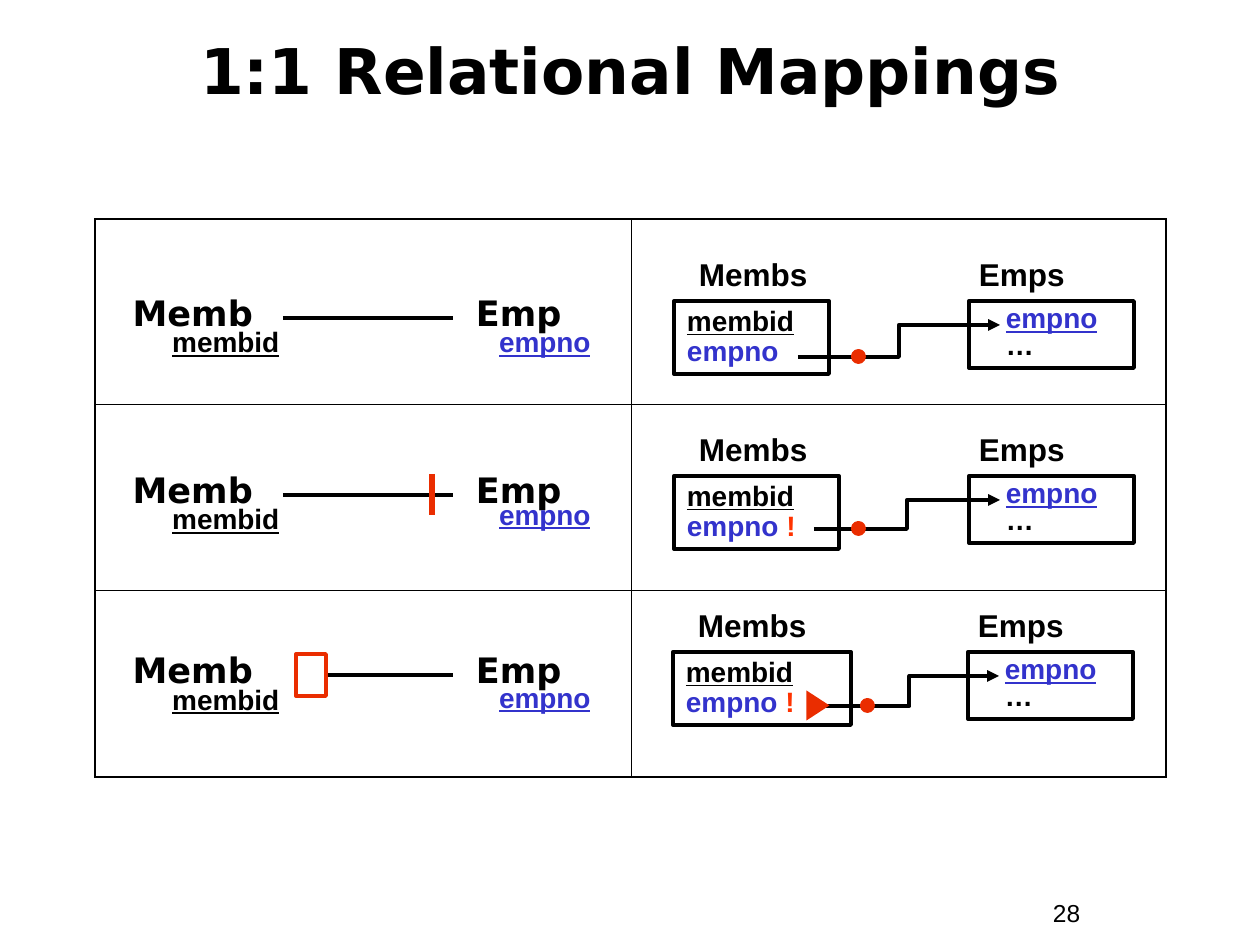
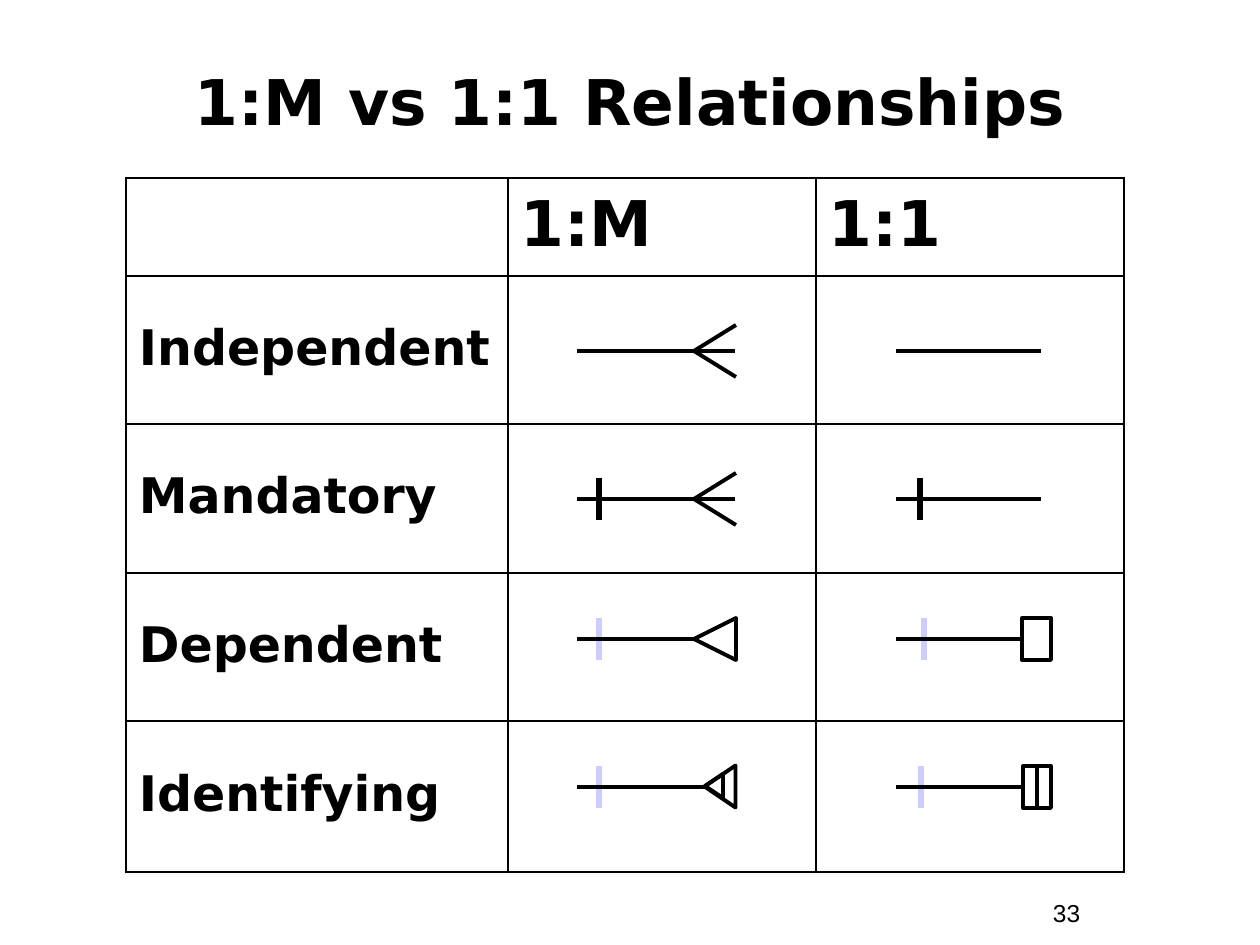
from dataclasses import dataclass

from lxml.etree import SubElement
from pptx import Presentation
from pptx.dml.color import RGBColor
from pptx.enum.shapes import MSO_CONNECTOR, MSO_SHAPE
from pptx.enum.text import MSO_ANCHOR, PP_ALIGN
from pptx.oxml.ns import qn
from pptx.util import Pt

PX = 7257


@dataclass(frozen=True)
class Theme:
    black: RGBColor = RGBColor(0x00, 0x00, 0x00)
    red: RGBColor = RGBColor(0xEA, 0x2D, 0x00)
    alert: RGBColor = RGBColor(0xFF, 0x33, 0x00)
    blue: RGBColor = RGBColor(0x33, 0x33, 0xCC)
    pale: RGBColor = RGBColor(0xCC, 0xCC, 0xFF)
    heading_font: str = "DejaVu Sans"
    body_font: str = "Arial"
    title: int = 36
    row_label: int = 28
    entity: int = 20
    relation: int = 18
    attribute: int = 16
    page: int = 14
    stroke: float = 2.25
    tick: float = 3
    frame: float = 1.08
    rule: float = 0.45


theme = Theme()


def add_box(slide, box, paragraphs=(), size=theme.attribute, font=theme.body_font, bold=True,
            align=PP_ALIGN.LEFT, anchor=MSO_ANCHOR.TOP, spacing=1.0, left_margin=13,
            kind=None, fill=None, line=None, rotation=0):
    bounds = [value * PX for value in box]
    if kind is None:
        shape = slide.shapes.add_textbox(*bounds)
    else:
        shape = slide.shapes.add_shape(kind, *bounds)
        shape.shadow.inherit = False
        shape.rotation = rotation
        for part, colour in ((shape.fill, fill), (shape.line.fill, line)):
            if colour is None:
                part.background()
            else:
                part.solid()
                part.fore_color.rgb = colour
        if line is not None:
            shape.line.width = Pt(theme.stroke)
    frame = shape.text_frame
    frame.word_wrap = True
    frame.vertical_anchor = anchor
    frame.margin_left = left_margin * PX
    for index, runs in enumerate(paragraphs):
        paragraph = frame.paragraphs[0] if index == 0 else frame.add_paragraph()
        paragraph.alignment = align
        paragraph.line_spacing = spacing
        for text, colour, underline in runs:
            run = paragraph.add_run()
            run.text = text
            run.font.name = font
            run.font.size = Pt(size)
            run.font.bold = bold
            run.font.underline = underline
            run.font.color.rgb = colour


def add_line(slide, start, end, colour=theme.black, width=theme.stroke, arrow=False):
    route = MSO_CONNECTOR.ELBOW if arrow else MSO_CONNECTOR.STRAIGHT
    connector = slide.shapes.add_connector(route, *[value * PX for value in start + end])
    connector.line.color.rgb = colour
    connector.line.width = Pt(width)
    if arrow:
        SubElement(connector.line._get_or_add_ln(), qn("a:tailEnd"), type="triangle")
    SubElement(connector._element.spPr, qn("a:effectLst"))


presentation = Presentation()
presentation.slide_width = 1260 * PX
presentation.slide_height = 945 * PX

pages = [
    ("1:1 Relational Mappings", 11, "28", (95, 219), (536, 535), (185, 186, 187), theme.rule),
    ("1:M vs 1:1 Relationships", 42, "33", (126, 178), (382, 308, 308),
     (98, 148, 149, 148, 151), theme.frame),
]
slides = []
tables = []
for title, title_top, number, corner, columns, rows, inner in pages:
    slide = presentation.slides.add_slide(presentation.slide_layouts[6])
    add_box(slide, (1040, 892, 116, 43), [[(number, theme.black, False)]], theme.page, bold=False)
    add_box(slide, (42, title_top, 1176, 116), [[(title, theme.black, False)]], theme.title,
            theme.heading_font, align=PP_ALIGN.CENTER, anchor=MSO_ANCHOR.MIDDLE)
    table = slide.shapes.add_table(len(rows), len(columns), corner[0] * PX, corner[1] * PX,
                                   sum(columns) * PX, sum(rows) * PX).table
    table.first_row = False
    table.horz_banding = False
    for column, width in zip(table.columns, columns):
        column.width = width * PX
    for row, height in zip(table.rows, rows):
        row.height = height * PX
    for row_index in range(len(rows)):
        for column_index in range(len(columns)):
            cell = table.cell(row_index, column_index)
            outer_edges = {
                "a:lnL": column_index == 0,
                "a:lnR": column_index == len(columns) - 1,
                "a:lnT": row_index == 0,
                "a:lnB": row_index == len(rows) - 1,
            }
            properties = cell._tc.get_or_add_tcPr()
            for edge, is_outer in outer_edges.items():
                border = SubElement(properties, qn(edge), w=str(Pt(theme.frame if is_outer else inner)))
                SubElement(SubElement(border, qn("a:solidFill")), qn("a:srgbClr"), val=str(theme.black))
            cell.fill.background()
    slides.append(slide)
    tables.append(table)

mapping_slide, comparison_slide = slides

required = [("empno ", theme.blue, False), ("!", theme.alert, False)]
optional = [("empno", theme.blue, False)]
mappings = [
    (292, 324, 283, 256, 0, 155, optional, (798, 357), 853),
    (469, 496, 283, 431, 0, 165, required, (814, 529), 853),
    (649, 679, 326, 607, -1, 178, required, (820, 706), 862),
]
for (entity_top, empno_top, line_left, relation_top, shift, membs_width,
     foreign_key, key_point, dot_left) in mappings:
    line_y = entity_top + 26
    add_line(mapping_slide, (line_left, line_y), (453, line_y))
    for name, left, width in (("Memb", 112, 161), ("Emp", 445, 147)):
        add_box(mapping_slide, (left, entity_top, width, 49), [[(name, theme.black, False)]],
                theme.entity, theme.heading_font, align=PP_ALIGN.CENTER, spacing=0.85)
    for name, left, top, colour in (("membid", 152, entity_top + 32, theme.black),
                                    ("empno", 471, empno_top, theme.blue)):
        add_box(mapping_slide, (left, top, 147, 42), [[(name, colour, True)]],
                align=PP_ALIGN.CENTER, spacing=0.85)
    for name, left in (("Membs", 686), ("Emps", 966)):
        add_box(mapping_slide, (left + shift, relation_top, 165, 43), [[(name, theme.black, False)]],
                theme.relation, spacing=0.8)
    add_box(mapping_slide, (674 + shift, relation_top + 45, membs_width, 73),
            [[("membid", theme.black, True)], foreign_key], spacing=0.9,
            kind=MSO_SHAPE.RECTANGLE, line=theme.black)
    add_box(mapping_slide, (969 + shift, relation_top + 45, 165, 67),
            [[("empno", theme.blue, True)], [("…", theme.black, False)]], spacing=0.8,
            left_margin=37, kind=MSO_SHAPE.RECTANGLE, line=theme.black)
    add_line(mapping_slide, key_point, (1000 + shift, relation_top + 69), arrow=True)
    add_box(mapping_slide, (dot_left, key_point[1] - 6, 11, 11), kind=MSO_SHAPE.OVAL,
            fill=theme.red, line=theme.red)

add_line(mapping_slide, (432, 474), (432, 515), theme.red, theme.tick)
add_box(mapping_slide, (296, 654, 30, 42), kind=MSO_SHAPE.RECTANGLE, line=theme.red)
add_box(mapping_slide, (803, 694, 30, 23), kind=MSO_SHAPE.ISOSCELES_TRIANGLE,
        fill=theme.red, rotation=90)

labels = [
    (0, 1, "1:M", theme.title),
    (0, 2, "1:1", theme.title),
    (1, 0, "Independent", theme.row_label),
    (2, 0, "Mandatory", theme.row_label),
    (3, 0, "Dependent", theme.row_label),
    (4, 0, "Identifying", theme.row_label),
]
for row_index, column_index, text, size in labels:
    cell = tables[1].cell(row_index, column_index)
    cell.vertical_anchor = MSO_ANCHOR.MIDDLE
    cell.margin_left = cell.margin_right = 13 * PX
    paragraph = cell.text_frame.paragraphs[0]
    paragraph.line_spacing = 0.9
    run = paragraph.add_run()
    run.text = text
    run.font.name = theme.heading_font
    run.font.size = Pt(size)
    run.font.bold = True
    run.font.color.rgb = theme.black

relationships = [
    (351, 735, 1041, (), theme.black, True),
    (499, 735, 1041, (599, 920), theme.black, True),
    (639, 693, 1020, (599, 924), theme.pale, False),
    (787, 706, 1021, (599, 921), theme.pale, False),
]
for line_y, many_end, one_end, ticks, tick_colour, has_crow_foot in relationships:
    for tick_x in ticks:
        add_line(comparison_slide, (tick_x, line_y - 21), (tick_x, line_y + 21), tick_colour, theme.tick)
    add_line(comparison_slide, (577, line_y), (many_end, line_y))
    add_line(comparison_slide, (896, line_y), (one_end, line_y))
    if has_crow_foot:
        for rise in (-26, 26):
            add_line(comparison_slide, (694, line_y), (736, line_y + rise))

symbols = [
    (MSO_SHAPE.FLOWCHART_EXTRACT, (694, 618, 42, 42), 270),
    (MSO_SHAPE.ISOSCELES_TRIANGLE, (699, 771, 42, 31), 270),
    (MSO_SHAPE.ISOSCELES_TRIANGLE, (702, 777, 24, 18), 270),
    (MSO_SHAPE.RECTANGLE, (1022, 618, 29, 42), 0),
    (MSO_SHAPE.RECTANGLE, (1023, 766, 14, 42), 0),
    (MSO_SHAPE.RECTANGLE, (1037, 766, 14, 42), 0),
]
for kind, box, rotation in symbols:
    add_box(comparison_slide, box, kind=kind, line=theme.black, rotation=rotation)

presentation.save("out.pptx")
